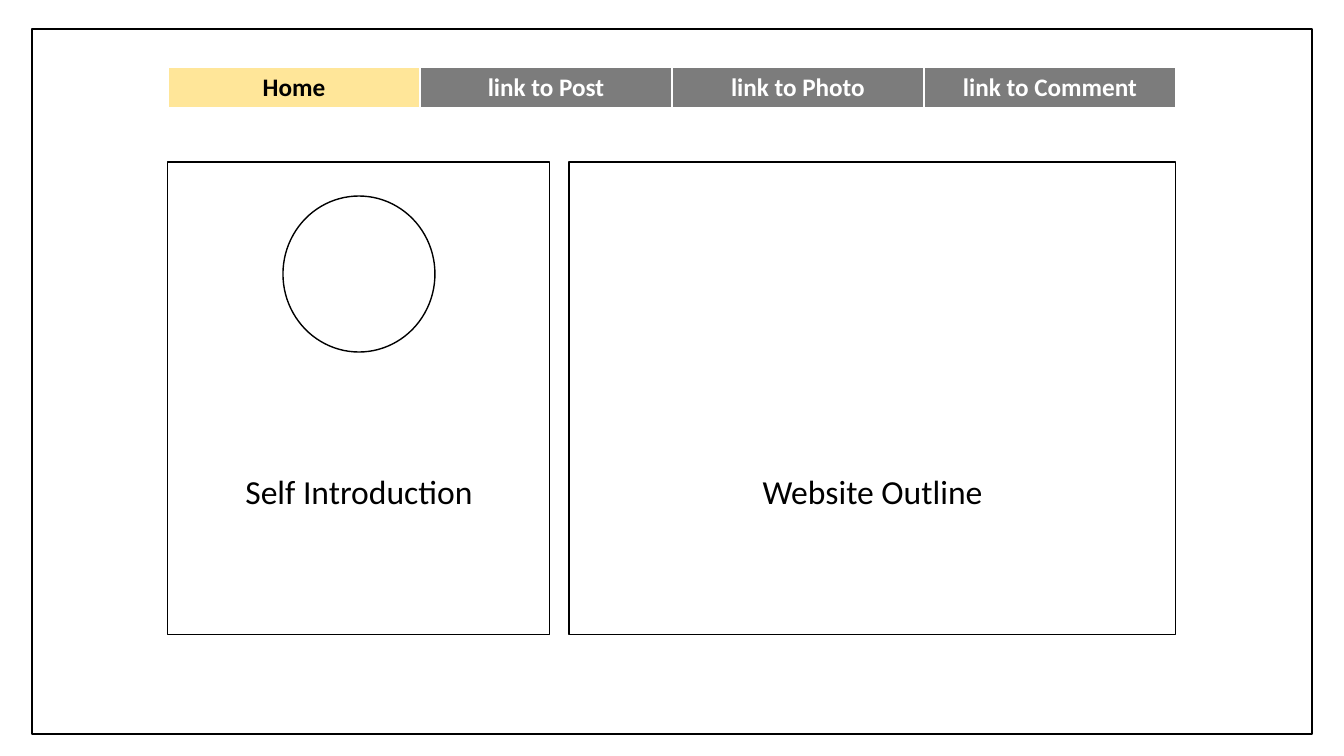
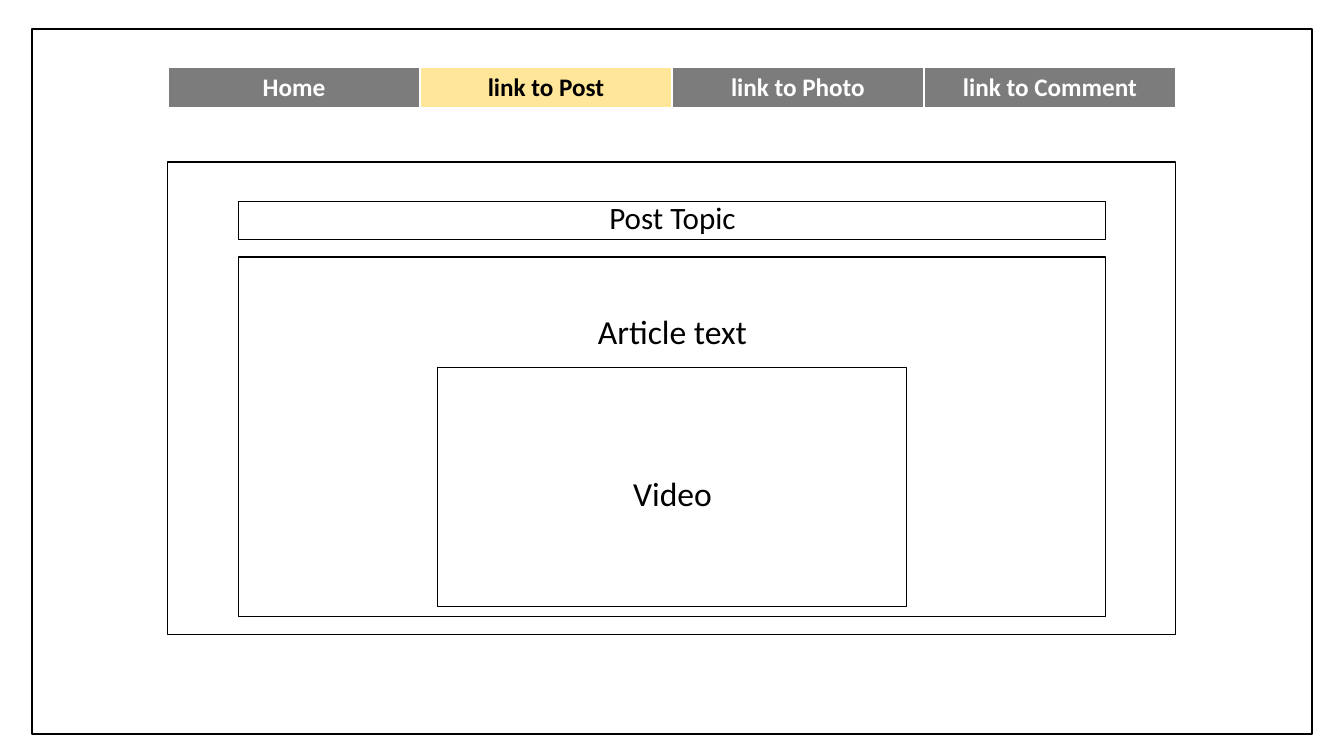
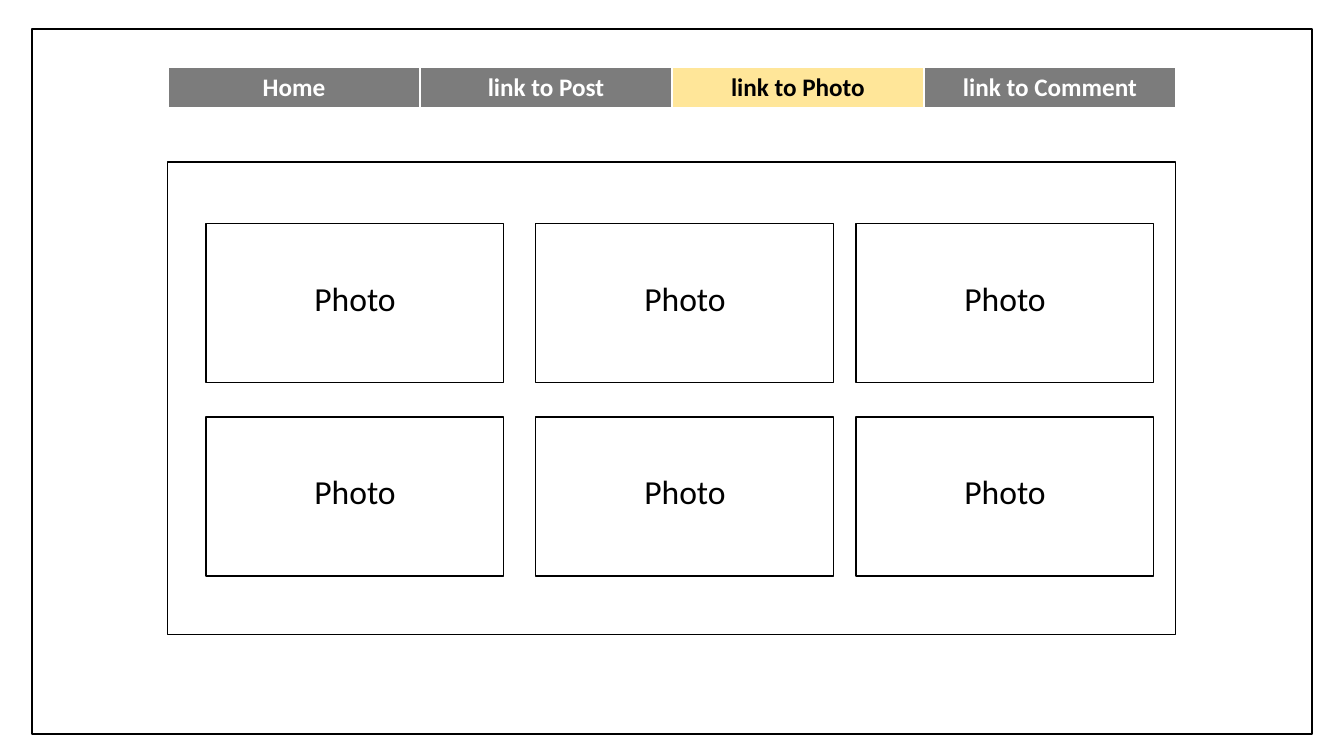
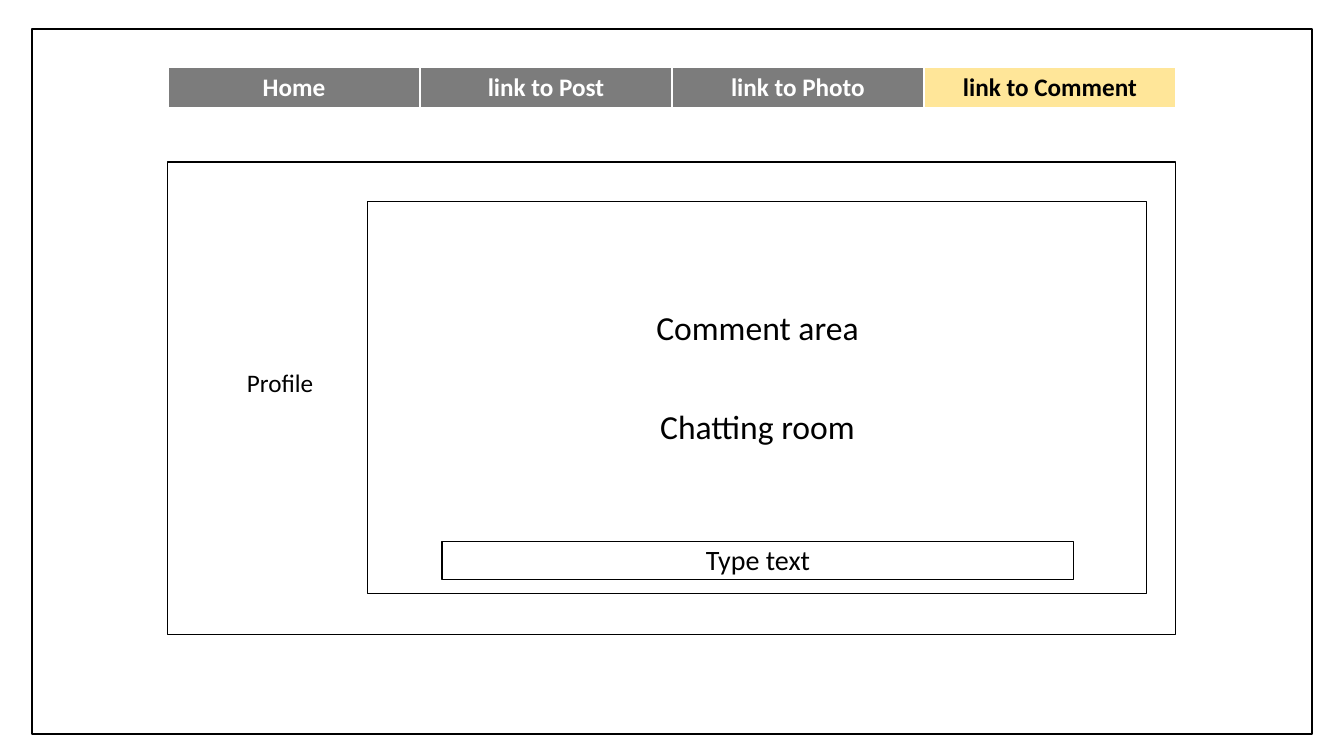
from collections import namedtuple

from pptx import Presentation
from pptx.dml.color import RGBColor
from pptx.enum.shapes import MSO_SHAPE
from pptx.enum.text import MSO_ANCHOR, PP_ALIGN
from pptx.util import Emu, Pt

EMU_PER_PX = 914400 / 100.8
FONT = "Calibri"
BLACK, WHITE = "000000", "FFFFFF"
TAB_GREY, TAB_ACTIVE = "7C7C7C", "FFE699"
TABS = ("Home", "link to Post", "link to Photo", "link to Comment")
TEXT_TOP, TEXT_ROW = 7, 51

Box = namedtuple("Box", "left top width height")
PAGE = Box(0, 0, 1344, 756)
FRAME = Box(32, 29, 1280, 705)
NAVIGATION = Box(168, 67, 1008, 41)
CONTENT = Box(168, 162, 1008, 473)


def px(length):
    """Turn pixels into EMU."""
    return Emu(round(length * EMU_PER_PX))


def emu_box(box):
    """Turn a box in pixels into four EMU lengths."""
    return [px(length) for length in box]


def inside(box, left, top, width, height):
    """Return a box placed relative to the corner of another."""
    return Box(box.left + left, box.top + top, width, height)


def colour(hex_code):
    """Turn a hex string into a colour."""
    return RGBColor.from_string(hex_code)


def write(paragraph, text, size=24, color=BLACK, bold=False,
          align=PP_ALIGN.CENTER, line_spacing=None, before=0):
    """Put formatted text into a paragraph."""
    paragraph.alignment = align
    paragraph.space_before = Pt(before)
    if line_spacing:
        paragraph.line_spacing = line_spacing
    run = paragraph.add_run()
    run.text = text
    run.font.name = FONT
    run.font.size = Pt(size)
    run.font.bold = bold
    run.font.color.rgb = colour(color)


def outline(slide, box, preset=MSO_SHAPE.RECTANGLE, weight=0.75):
    """Draw an unfilled black outline."""
    shape = slide.shapes.add_shape(preset, *emu_box(box))
    shape.shadow.inherit = False
    shape.fill.background()
    shape.line.color.rgb = colour(BLACK)
    shape.line.width = Pt(weight)
    return shape


def panel(slide, box, *lines, row=0, size=24, line_spacing=0.9, gap=10):
    """Draw an outlined panel whose text starts at the given text row."""
    frame = outline(slide, box).text_frame
    frame.word_wrap = True
    frame.vertical_anchor = MSO_ANCHOR.TOP
    frame.margin_top = px(TEXT_TOP + row * TEXT_ROW)
    for index, line in enumerate(lines):
        paragraph = frame.add_paragraph() if index else frame.paragraphs[0]
        write(paragraph, line, size=size, line_spacing=line_spacing,
              before=gap if index else 0)


def navigation(slide, box, active):
    """Draw the row of tabs with the active one highlighted."""
    table = slide.shapes.add_table(1, len(TABS), *emu_box(box)).table
    for index, tab in enumerate(TABS):
        table.columns[index].width = px(box.width / len(TABS))
        cell = table.cell(0, index)
        cell.fill.solid()
        cell.fill.fore_color.rgb = colour(TAB_ACTIVE if tab == active else TAB_GREY)
        write(cell.text_frame.paragraphs[0], tab, size=18, bold=True,
              color=BLACK if tab == active else WHITE)


def home(slide, box):
    """Draw the introduction and the website outline side by side."""
    introduction = inside(box, 0, 0, 382, box.height)
    website = inside(box, 401, 0, box.width - 401, box.height)
    panel(slide, introduction, "Self Introduction", row=6)
    outline(slide, inside(introduction, 115, 34, 152, 156), MSO_SHAPE.OVAL, 1)
    panel(slide, website, "Website Outline", row=6)


def post(slide, box):
    """Draw the post topic above its article and video."""
    outline(slide, box)
    topic = inside(box, 71, 40, 867, 38)
    article = inside(topic, 0, 55, topic.width, 360)
    panel(slide, topic, "Post Topic", size=22.2, line_spacing=0.7)
    panel(slide, article, "Article text", row=1)
    panel(slide, inside(article, 199, 111, 469, 239), "Video", row=2)


def photos(slide, box):
    """Draw the gallery of two rows of photos."""
    outline(slide, box)
    for top in (62, 62 + 193):
        for left in (38, 368, 688):
            panel(slide, inside(box, left, top, 298, 159), "Photo", row=1)


def comments(slide, box):
    """Draw the profile label beside the chat with its input field."""
    outline(slide, box)
    chat = inside(box, 200, 40, 779, 392)
    panel(slide, chat, "Comment area", "Chatting room", row=2, gap=45)
    panel(slide, inside(chat, 74, 340, 632, 38), "Type text",
          size=20, line_spacing=0.8)
    profile = slide.shapes.add_textbox(*emu_box(inside(box, 69, 200, 88, 40)))
    profile.text_frame.word_wrap = False
    write(profile.text_frame.paragraphs[0], "Profile", size=18,
          align=PP_ALIGN.LEFT)


def build():
    """Build one slide for each tab and save them."""
    deck = Presentation()
    deck.slide_width, deck.slide_height = px(PAGE.width), px(PAGE.height)
    for tab, draw_content in zip(TABS, (home, post, photos, comments)):
        slide = deck.slides.add_slide(deck.slide_layouts[6])
        navigation(slide, NAVIGATION, tab)
        outline(slide, FRAME, weight=1)
        draw_content(slide, CONTENT)
    deck.save("out.pptx")


build()
